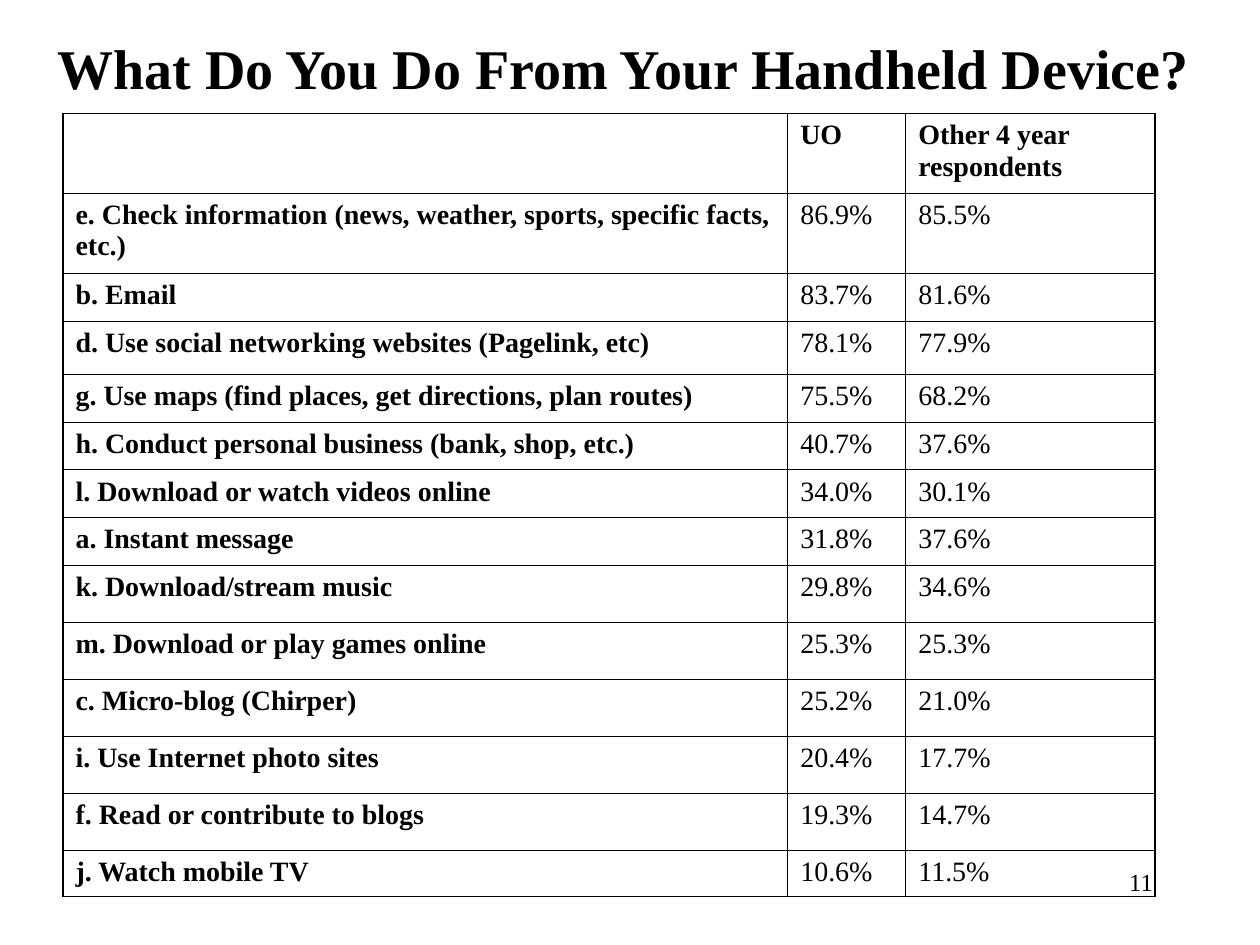
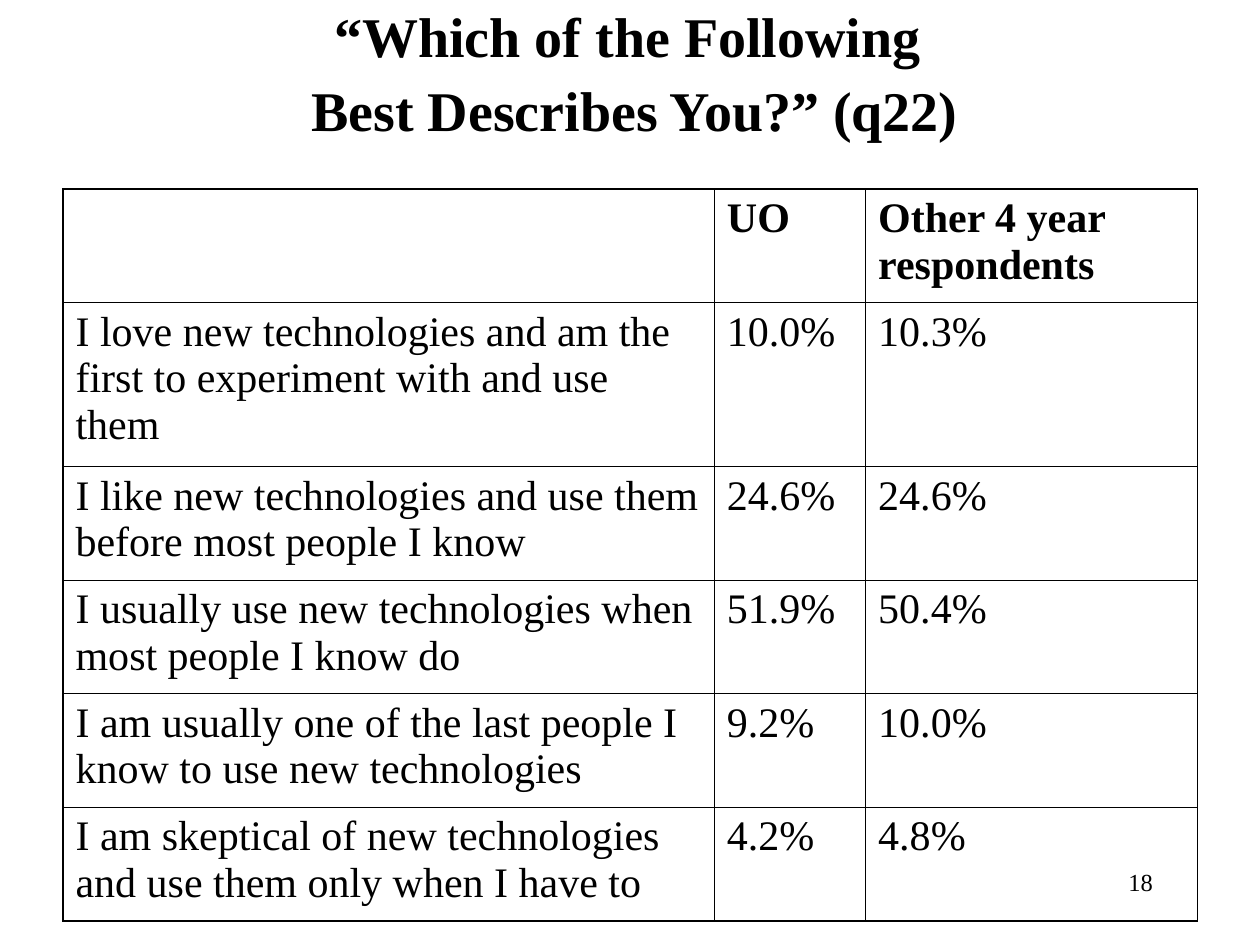
from dataclasses import dataclass

from lxml.etree import SubElement
from pptx import Presentation
from pptx.dml.color import RGBColor
from pptx.enum.text import MSO_ANCHOR as Anchor, PP_ALIGN as Align
from pptx.oxml.ns import qn
from pptx.util import Cm, Pt

FONT = "Times New Roman"
BLACK = "000000"
WHITE = "FFFFFF"
THIN, THICK = 0.45, 1.08
TITLE_SIZE, NUMBER_SIZE = 32, 14
TITLE_SPACING = 1.1
HEADINGS = ("", "UO", "Other 4 year respondents")


@dataclass(frozen=True)
class Box:
    left: float
    top: float
    width: float
    height: float


@dataclass(frozen=True)
class Answer:
    label: str
    home: str
    others: str
    height: float


@dataclass(frozen=True)
class Survey:
    title: tuple[str, ...]
    title_box: Box
    number: str
    left: float
    top: float
    columns: tuple[float, ...]
    header_height: float
    size: int
    bold_labels: bool
    answers: tuple[Answer, ...]


NUMBER_BOX = Box(18.21, 17.35, 5.28, 1.27)

SURVEYS = (
    Survey(
        title=("What Do You Do From Your Handheld Device? ",),
        title_box=Box(0.43, 0.43, 24.56, 1.7),
        number="11",
        left=1.27,
        top=2.29,
        columns=(14.61, 2.38, 5.03),
        header_height=1.61,
        size=16,
        bold_labels=True,
        answers=(
            Answer("e. Check information (news, weather, sports, specific facts, etc.)", "86.9%", "85.5%", 1.61),
            Answer("b. Email", "83.7%", "81.6%", 0.96),
            Answer("d. Use social networking websites (Pagelink, etc)", "78.1%", "77.9%", 1.08),
            Answer("g. Use maps (find places, get directions, plan routes)", "75.5%", "68.2%", 0.96),
            Answer("h. Conduct personal business (bank, shop, etc.)", "40.7%", "37.6%", 0.96),
            Answer("l. Download or watch videos online", "34.0%", "30.1%", 0.96),
            Answer("a. Instant message", "31.8%", "37.6%", 0.96),
            Answer("k. Download/stream music", "29.8%", "34.6%", 1.15),
            Answer("m. Download or play games online", "25.3%", "25.3%", 1.15),
            Answer("c. Micro-blog (Chirper)", "25.2%", "21.0%", 1.15),
            Answer("i. Use Internet photo sites", "20.4%", "17.7%", 1.15),
            Answer("f. Read or contribute to blogs", "19.3%", "14.7%", 1.15),
            Answer("j. Watch mobile TV", "10.6%", "11.5%", 0.94),
        ),
    ),
    Survey(
        title=("“Which of the Following ", "Best Describes You?” (q22)"),
        title_box=Box(0.84, 0.43, 23.92, 1.9),
        number="18",
        left=1.27,
        top=3.81,
        columns=(13.13, 3.05, 6.69),
        header_height=2.29,
        size=24,
        bold_labels=False,
        answers=(
            Answer("I love new technologies and am the first to experiment with and use them", "10.0%", "10.3%", 3.06),
            Answer("I like new technologies and use them before most people I know", "24.6%", "24.6%", 2.29),
            Answer("I usually use new technologies when most people I know do", "51.9%", "50.4%", 2.29),
            Answer("I am usually one of the last people I know to use new technologies", "9.2%", "10.0%", 2.29),
            Answer("I am skeptical of new technologies and use them only when I have to", "4.2%", "4.8%", 2.29),
        ),
    ),
)


def color(value: str) -> RGBColor:
    return RGBColor.from_string(value)


def add_run(paragraph, text: str, size: int, bold: bool = False) -> None:
    run = paragraph.add_run()
    run.text = text
    run.font.name = FONT
    run.font.size = Pt(size)
    run.font.bold = bold
    run.font.color.rgb = color(BLACK)


def add_text(slide, box: Box, lines: tuple[str, ...], size: int, align: Align,
             anchor: Anchor = Anchor.TOP, bold: bool = False, spacing: float = 1.0) -> None:
    shape = slide.shapes.add_textbox(Cm(box.left), Cm(box.top), Cm(box.width), Cm(box.height))
    frame = shape.text_frame
    frame.word_wrap = True
    frame.vertical_anchor = anchor
    paragraph = frame.paragraphs[0]
    paragraph.alignment = align
    paragraph.line_spacing = spacing
    for index, line in enumerate(lines):
        if index:
            paragraph.add_line_break()
        add_run(paragraph, line, size, bold)


def set_borders(cell, outer_sides: dict[str, bool]) -> None:
    properties = cell._tc.get_or_add_tcPr()
    for position, (side, is_outer) in enumerate(outer_sides.items()):
        line = SubElement(properties, qn(f"a:{side}"), w=str(Pt(THICK if is_outer else THIN)))
        fill = SubElement(line, qn("a:solidFill"))
        SubElement(fill, qn("a:srgbClr"), val=BLACK)
        properties.insert(position, line)


def add_survey_table(slide, survey: Survey) -> None:
    rows = [HEADINGS] + [(answer.label, answer.home, answer.others) for answer in survey.answers]
    heights = [survey.header_height] + [answer.height for answer in survey.answers]
    last_row, last_column = len(rows) - 1, len(HEADINGS) - 1
    shape = slide.shapes.add_table(len(rows), len(HEADINGS), Cm(survey.left), Cm(survey.top),
                                   Cm(sum(survey.columns)), Cm(sum(heights)))
    table = shape.table
    table.first_row = False
    table.horz_banding = False
    for column, width in zip(table.columns, survey.columns):
        column.width = Cm(width)
    for row_index, (texts, height) in enumerate(zip(rows, heights)):
        table.rows[row_index].height = Cm(height)
        for column_index, text in enumerate(texts):
            cell = table.cell(row_index, column_index)
            cell.fill.background()
            set_borders(cell, {
                "lnL": column_index == 0,
                "lnR": column_index == last_column,
                "lnT": row_index == 0,
                "lnB": row_index == last_row,
            })
            if text:
                bold = row_index == 0 or (column_index == 0 and survey.bold_labels)
                add_run(cell.text_frame.paragraphs[0], text, survey.size, bold)


def add_survey_slide(presentation, survey: Survey) -> None:
    slide = presentation.slides.add_slide(presentation.slide_layouts[6])
    slide.background.fill.solid()
    slide.background.fill.fore_color.rgb = color(WHITE)
    add_text(slide, NUMBER_BOX, (survey.number,), NUMBER_SIZE, Align.RIGHT)
    add_text(slide, survey.title_box, survey.title, TITLE_SIZE, Align.CENTER,
             Anchor.MIDDLE, bold=True, spacing=TITLE_SPACING)
    add_survey_table(slide, survey)


def main() -> None:
    presentation = Presentation()
    presentation.slide_width = Cm(25.4)
    presentation.slide_height = Cm(19.05)
    for survey in SURVEYS:
        add_survey_slide(presentation, survey)
    presentation.save("out.pptx")


if __name__ == "__main__":
    main()
